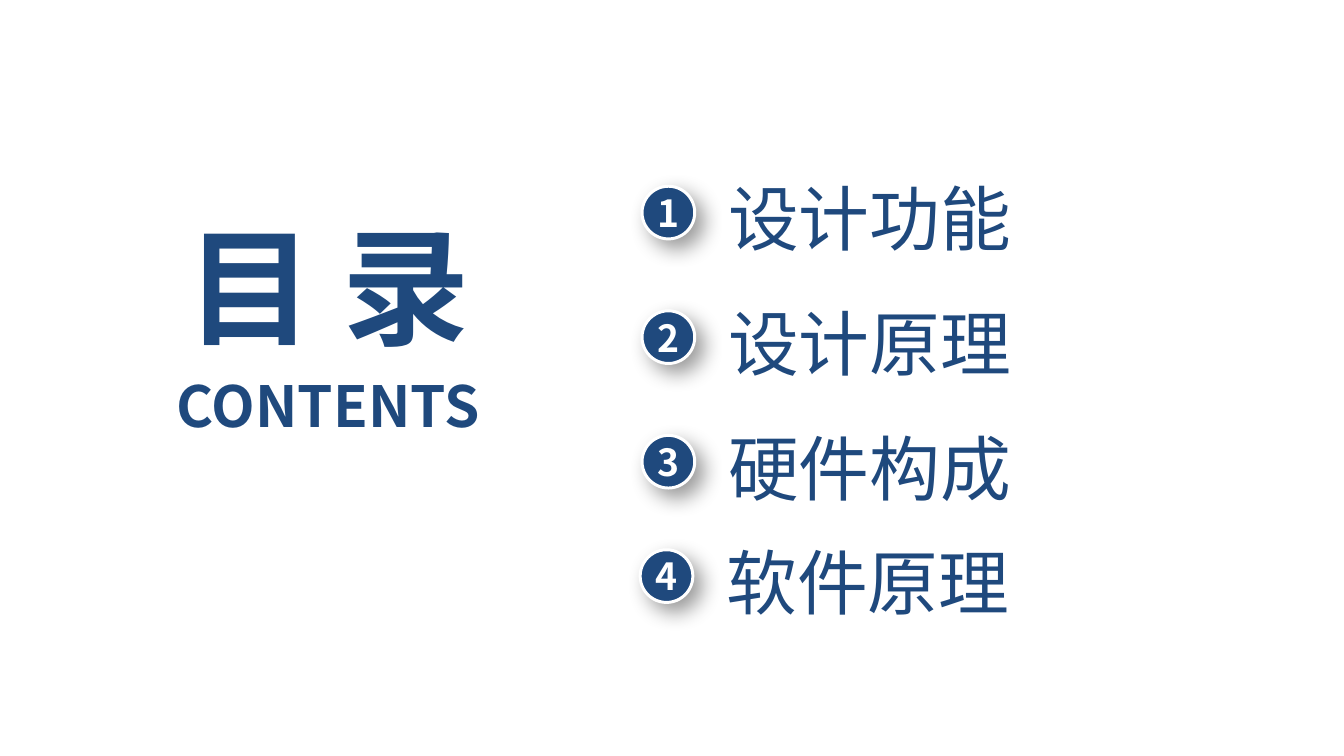
import pptx
import pptx.dml.color
import pptx.enum.shapes
import pptx.enum.text
import pptx.oxml
import pptx.oxml.ns
import pptx.util
from pptx.util import Cm

NAVY = pptx.dml.color.RGBColor(0x1F, 0x49, 0x7D)
WHITE = pptx.dml.color.RGBColor(0xFF, 0xFF, 0xFF)
FONT = "Noto Sans CJK SC"
CENTER = pptx.enum.text.PP_ALIGN.CENTER
LEFT = pptx.enum.text.PP_ALIGN.LEFT
MIDDLE = pptx.enum.text.MSO_ANCHOR.MIDDLE
TOP = pptx.enum.text.MSO_ANCHOR.TOP

SHADOW = (
    f'<a:effectLst {pptx.oxml.ns.nsdecls("a")}>'
    '<a:outerShdw blurRad="203200" dist="114300" dir="2700000" algn="tl" rotWithShape="0">'
    '<a:srgbClr val="000000"><a:alpha val="40000"/></a:srgbClr>'
    '</a:outerShdw></a:effectLst>'
)


def write(shape, text, size, color=NAVY, bold=False, align=CENTER, anchor=MIDDLE):
    frame = shape.text_frame
    frame.margin_left = frame.margin_right = frame.margin_top = frame.margin_bottom = 0
    frame.word_wrap = True
    frame.auto_size = pptx.enum.text.MSO_AUTO_SIZE.NONE
    frame.vertical_anchor = anchor
    frame.text = text
    paragraph = frame.paragraphs[0]
    paragraph.alignment = align
    font = paragraph.font
    font.name, font.size, font.bold = FONT, pptx.util.Pt(size), bold
    font.color.rgb = color
    # East Asian typeface, which follows the Latin one
    latin = paragraph._p.pPr.find(".//" + pptx.oxml.ns.qn("a:latin"))
    latin.addnext(pptx.oxml.parse_xml(
        f'<a:ea {pptx.oxml.ns.nsdecls("a")} typeface="{FONT}"/>'))


def add_heading(slide, left, top, width):
    # Chinese title
    title = slide.shapes.title
    title.left, title.top, title.width, title.height = left, top, width, Cm(4.11)
    write(title, "目 录", 96, bold=True)

    # English subtitle
    subtitle = slide.shapes.add_textbox(left, top + Cm(4.34), width, Cm(1.83))
    write(subtitle, "CONTENTS", 42.7, bold=True, anchor=TOP)


def add_entry(slide, left, top, width, number, topic):
    # Numbered badge
    badge = slide.shapes.add_shape(
        pptx.enum.shapes.MSO_SHAPE.OVAL, left, top + Cm(0.31), Cm(1.4), Cm(1.4))
    badge.fill.solid()
    badge.fill.fore_color.rgb = NAVY
    badge.line.color.rgb = WHITE
    badge.line.width = pptx.util.Pt(2.25)
    badge._element.spPr.append(pptx.oxml.parse_xml(SHADOW))
    write(badge, str(number), 28.1, WHITE, bold=True)

    # Topic in an unfilled outline
    indent, height = Cm(2.29), Cm(2.29)
    label_left, right, bottom = left + indent, left + width, top + height
    outline = slide.shapes.build_freeform(label_left, top)
    outline.add_line_segments([(right, top), (right, bottom), (label_left, bottom)])
    label = outline.convert_to_shape()
    label.fill.background()
    label.line.fill.background()
    label.shadow.inherit = False
    write(label, topic, 53.3, align=LEFT)


def build_contents(presentation):
    slide = presentation.slides.add_slide(presentation.slide_layouts[5])
    add_heading(slide, Cm(3.86), Cm(5.51), Cm(9.73))
    entries = [
        (17.06, 4.64, 14.4, "设计功能"),
        (17.06, 7.95, 10.62, "设计原理"),
        (17.06, 11.26, 11.99, "硬件构成"),
        (17.01, 14.3, 10.62, "软件原理"),
    ]
    for number, (left, top, width, topic) in enumerate(entries, 1):
        add_entry(slide, Cm(left), Cm(top), Cm(width), number, topic)


def main():
    presentation = pptx.Presentation()
    presentation.slide_width, presentation.slide_height = Cm(35.71), Cm(20.09)
    build_contents(presentation)
    presentation.save("out.pptx")


if __name__ == "__main__":
    main()
